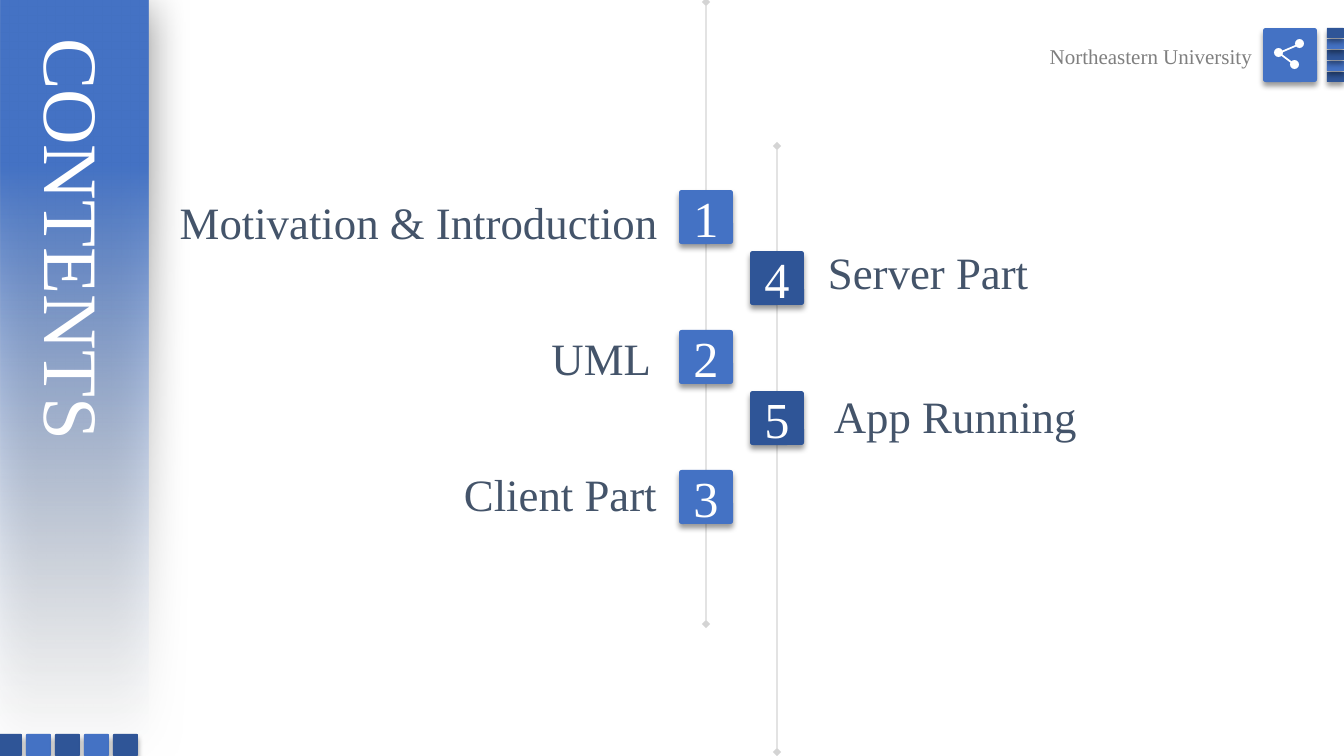
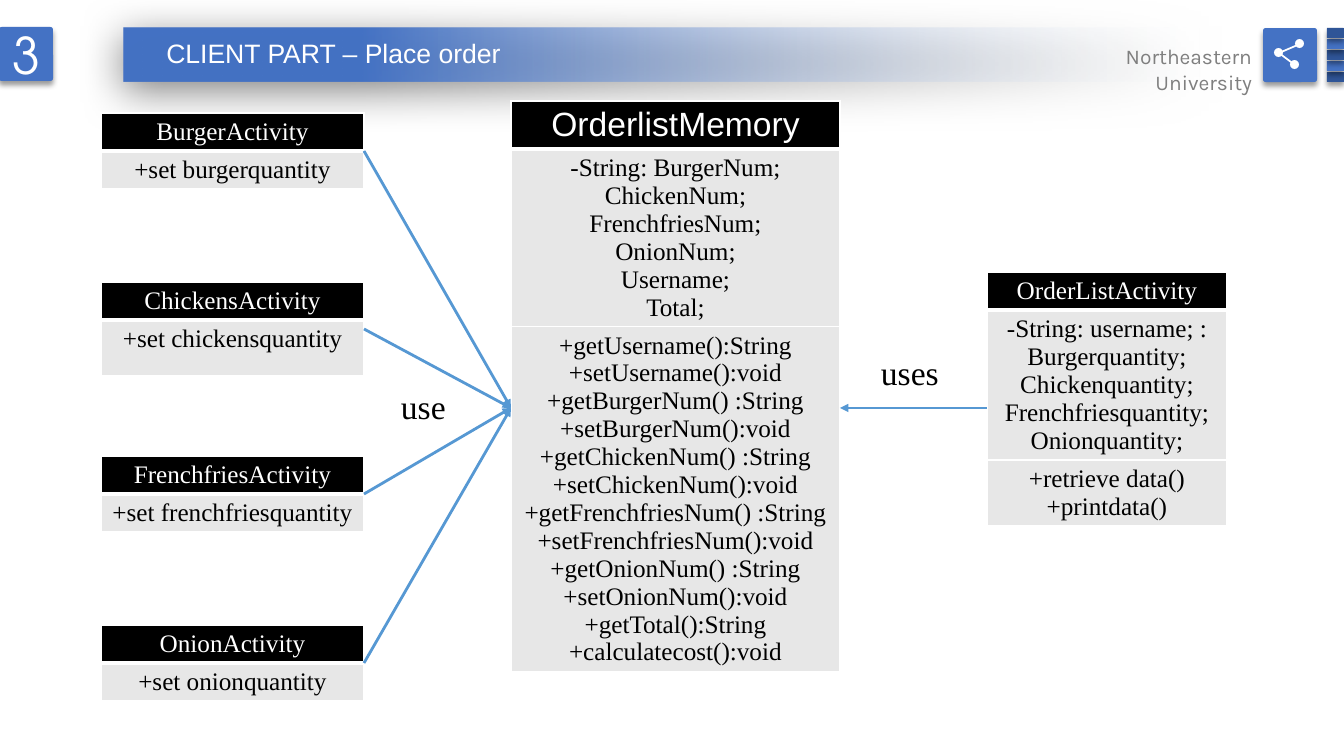
from lxml import etree
from pptx import Presentation
from pptx import util as u
from pptx.dml.color import RGBColor
from pptx.enum import shapes as sh, text as tx
from pptx.oxml.ns import qn

SCALE = 12192000 / 1344
W, H = 1344, 756
SERIF, SANS = "Times New Roman", "Arial"
WHITE, BLACK, GREY, SLATE = "FFFFFF", "000000", "7F7F7F", "44546A"
BLUE, NAVY, SKY, CELL = "4472C4", "2F5597", "5698D3", "E7E7E7"
LEFT, CENTER, RIGHT = tx.PP_ALIGN.LEFT, tx.PP_ALIGN.CENTER, tx.PP_ALIGN.RIGHT

TILE = 54
TILE_SHADOW = dict(alpha=40, blur=4, dist=3, angle=90)
BAND_SHADOW = dict(alpha=50, blur=31, dist=6, angle=97)
BAND_STOPS = [(0, "F6F9FC", 0), (78, BLUE, 100), (100, BLUE, 100)]

UNIVERSITY = "Northeastern University"
SHARE_DOTS = [(1279, 53), (1300, 44), (1295, 65)]  # the first is the hub

# axis x, axis top, axis bottom, tile colour, first tile top
AXES = {
    "right": (777, 146, 752, NAVY, 251),
    "left": (706, 2, 624, BLUE, 190),
}
TILE_STEP = 140
# label, inner edge of its box, top of its box
CHAPTERS = {
    "left": [("Motivation & Introduction", 668, 190), ("UML", 661, 326),
             ("Client Part", 667, 462)],
    "right": [("Server Part", 818, 240), ("App Running", 824, 384)],
}

# left, top, width, header size, header font, [(row height, lines)]
ACTIVITIES = [
    (101, 113, 263, 18, SERIF,
     [(38, ["BurgerActivity"]), (38, ["+set burgerquantity"])]),
    (101, 282, 263, 18, SERIF,
     [(38, ["ChickensActivity"]), (56, ["+set chickensquantity"])]),
    (101, 456, 263, 18, SERIF,
     [(38, ["FrenchfriesActivity"]), (38, ["+set frenchfriesquantity"])]),
    (101, 625, 263, 18, SERIF,
     [(38, ["OnionActivity"]), (38, ["+set onionquantity"])]),
]
MEMORY = (511, 101, 329, 24, SANS, [
    (48, ["OrderlistMemory"]),
    (176, ["-String: BurgerNum;", "ChickenNum;", "FrenchfriesNum;",
           "OnionNum;", "Username;", "Total;"]),
    (345, ["+getUsername():String", "+setUsername():void",
           "+getBurgerNum() :String", "+setBurgerNum():void",
           "+getChickenNum() :String", "+setChickenNum():void",
           "+getFrenchfriesNum() :String", "+setFrenchfriesNum():void",
           "+getOnionNum() :String", "+setOnionNum():void",
           "+getTotal():String", "+calculatecost():void"]),
])
ORDER_LIST = (987, 272, 240, 18, SERIF, [
    (38, ["OrderListActivity"]),
    (150, ["-String: username; : Burgerquantity;", "Chickenquantity;",
           "Frenchfriesquantity;", "Onionquantity;"]),
    (65, ["+retrieve data()", "+printdata()"]),
])
HUB_Y = 408
ARROW_LABELS = [("use", 391, 381, 104), ("uses", 871, 347, 86)]


def px(n):
    return u.Emu(round(n * SCALE))


def box(*lengths):
    return [px(n) for n in lengths]


def rgb(value):
    return RGBColor.from_string(value)


def sub(parent, tag, **attributes):
    """Append a drawing element with the given attributes."""
    child = etree.SubElement(parent, qn("a:" + tag))
    for key, value in attributes.items():
        child.set(key, str(value))
    return child


def add_color(parent, color, alpha):
    sub(sub(parent, "srgbClr", val=color), "alpha", val=alpha * 1000)


def write(frame, lines, size, color, font=SERIF, align=LEFT):
    frame.word_wrap = True
    for i, line in enumerate(lines):
        paragraph = frame.add_paragraph() if i else frame.paragraphs[0]
        paragraph.alignment = align
        run = paragraph.add_run()
        run.text = line
        run.font.size = u.Pt(size)
        run.font.name = font
        run.font.color.rgb = rgb(color)


def label(slide, place, line, size, color, font=SERIF, align=LEFT):
    frame = slide.shapes.add_textbox(*box(*place)).text_frame
    write(frame, [line], size, color, font, align)


def set_title(slide, place, line, size, font, align, rotation=0):
    """Fill the title placeholder and bring it in front of the band."""
    title = slide.shapes.title
    title.left, title.top, title.width, title.height = box(*place)
    title.rotation = rotation
    frame = title.text_frame
    frame.auto_size = tx.MSO_AUTO_SIZE.NONE
    frame.vertical_anchor = tx.MSO_ANCHOR.TOP
    write(frame, [line], size, WHITE, font, align)
    title.element.getparent().append(title.element)


def add_plain(slide, kind, place, color=None):
    shape = slide.shapes.add_shape(kind, *box(*place))
    shape.shadow.inherit = False
    shape.line.fill.background()
    if color:
        shape.fill.solid()
        shape.fill.fore_color.rgb = rgb(color)
    return shape


def cast_shadow(shape, alpha, blur, dist, angle):
    effects = shape.element.spPr.find(qn("a:effectLst"))
    outer = sub(effects, "outerShdw", blurRad=u.Pt(blur), dist=u.Pt(dist),
                dir=angle * 60000, algn="ctr", rotWithShape=0)
    add_color(outer, BLACK, alpha)


def add_tile(slide, place, color, number="", font=SERIF):
    tile = add_plain(slide, sh.MSO_SHAPE.ROUNDED_RECTANGLE, place, color)
    tile.adjustments[0] = 0.05
    cast_shadow(tile, **TILE_SHADOW)
    if number:
        tile.text_frame.vertical_anchor = tx.MSO_ANCHOR.MIDDLE
        write(tile.text_frame, [number], 36, WHITE, font, CENTER)


def add_band(slide, place, rotation=0):
    """Draw a band that fades out towards its right end."""
    band = add_plain(slide, sh.MSO_SHAPE.RECTANGLE, place)
    band.rotation = rotation
    band.fill.gradient()
    band.fill.gradient_angle = 180
    stops = band.element.spPr.find(".//" + qn("a:gsLst"))
    for stop in list(stops):
        stops.remove(stop)
    for position, color, alpha in BAND_STOPS:
        add_color(sub(stops, "gs", pos=position * 1000), color, alpha)
    cast_shadow(band, **BAND_SHADOW)


def add_line(slide, start, end, color, width, head=None, tail=None, alpha=100):
    line = slide.shapes.add_connector(sh.MSO_CONNECTOR.STRAIGHT,
                                      *box(*start, *end))
    line.line.color.rgb = rgb(color)
    line.line.width = u.Pt(width)
    ln = line.line._get_or_add_ln()
    sub(ln.find(".//" + qn("a:srgbClr")), "alpha", val=alpha * 1000)
    for tag, kind in (("headEnd", head), ("tailEnd", tail)):
        if kind:
            sub(ln, tag, type=kind)
    sub(line.element.spPr, "effectLst")


def add_corner(slide, font):
    """Draw the university name, share tile and edge blocks."""
    for i in reversed(range(5)):
        add_tile(slide, (1327, 28 + 11 * i, 17, 10), BLUE if i % 2 else NAVY)
    add_tile(slide, (1263, 28, TILE, TILE), BLUE)
    for dot in SHARE_DOTS[1:]:
        add_line(slide, SHARE_DOTS[0], dot, WHITE, 1.25)
    for x, y in SHARE_DOTS:
        add_plain(slide, sh.MSO_SHAPE.OVAL, (x - 5, y - 5, 9, 9), WHITE)
    label(slide, (1023, 39, 239, 36), UNIVERSITY, 15, GREY, font, RIGHT)


def add_borders(cell, bottom):
    properties = cell._tc.get_or_add_tcPr()
    for i, side in enumerate("LRTB"):
        ln = sub(properties, "ln" + side,
                 w=u.Pt(bottom if side == "B" else 1))
        add_color(sub(ln, "solidFill"), WHITE, 100)
        properties.insert(i, ln)


def add_class(slide, left, top, width, size, font, rows):
    """Draw a class as a one-column table with a black header."""
    height = sum(h for h, _ in rows)
    table = slide.shapes.add_table(len(rows), 1,
                                   *box(left, top, width, height)).table
    table.first_row = table.horz_banding = False
    for i, (row_height, lines) in enumerate(rows):
        table.rows[i].height = px(row_height)
        cell = table.cell(i, 0)
        cell.fill.solid()
        cell.fill.fore_color.rgb = rgb(CELL if i else BLACK)
        add_borders(cell, 1 if i else 3)
        if i:
            write(cell.text_frame, lines, 18, BLACK, SERIF, CENTER)
        else:
            write(cell.text_frame, lines, size, WHITE, font, CENTER)


def build_contents(slide):
    for x, top, bottom, _, _ in AXES.values():
        add_line(slide, (x, top), (x, bottom), GREY, 0.75,
                 "diamond", "diamond", 33)
    add_band(slide, (-302, 301, 752, 148), 90)
    for i in range(5):
        add_tile(slide, (29 * i - 3, 734, 25, 22), BLUE if i % 2 else NAVY)
    set_title(slide, (-179, 220, 498, 114), "CONTENTS", 55, SERIF, LEFT, 90)

    number = 0
    for side in ("left", "right"):
        x, _, _, color, first = AXES[side]
        for i, (name, edge, top) in enumerate(CHAPTERS[side]):
            number += 1
            add_tile(slide, (x - TILE // 2, first + TILE_STEP * i, TILE, TILE),
                     color, str(number))
            width = 500
            if side == "left":
                label(slide, (edge - width, top, width, 64), name, 32, SLATE,
                      align=RIGHT)
            else:
                label(slide, (edge, top, width, 64), name, 32, SLATE)
    add_corner(slide, SERIF)


def build_client(slide):
    add_band(slide, (124, 28, 1076, 53))
    add_tile(slide, (-1, 27, TILE, TILE), BLUE, "3", "TeX Gyre Adventor")
    add_corner(slide, "Karla")
    set_title(slide, (128, 32, 411, 42), "CLIENT PART – Place order", 19,
              SANS, CENTER)

    for uml_class in [MEMORY, *ACTIVITIES, ORDER_LIST]:
        add_class(slide, *uml_class)
    hub_left, hub_width = MEMORY[0], MEMORY[2]
    for left, top, width, _, _, rows in ACTIVITIES:
        middle = top + sum(h for h, _ in rows) / 2
        add_line(slide, (left + width, middle), (hub_left, HUB_Y), SKY, 2,
                 tail="triangle")
    add_line(slide, (ORDER_LIST[0], HUB_Y), (hub_left + hub_width, HUB_Y),
             SKY, 2, tail="triangle")
    for word, x, y, width in ARROW_LABELS:
        label(slide, (x, y, width, 50), word, 24, BLACK)


def main():
    deck = Presentation()
    deck.slide_width, deck.slide_height = box(W, H)
    title_only = deck.slide_layouts[5]
    for build in (build_contents, build_client):
        build(deck.slides.add_slide(title_only))
    deck.save("out.pptx")


if __name__ == "__main__":
    main()
